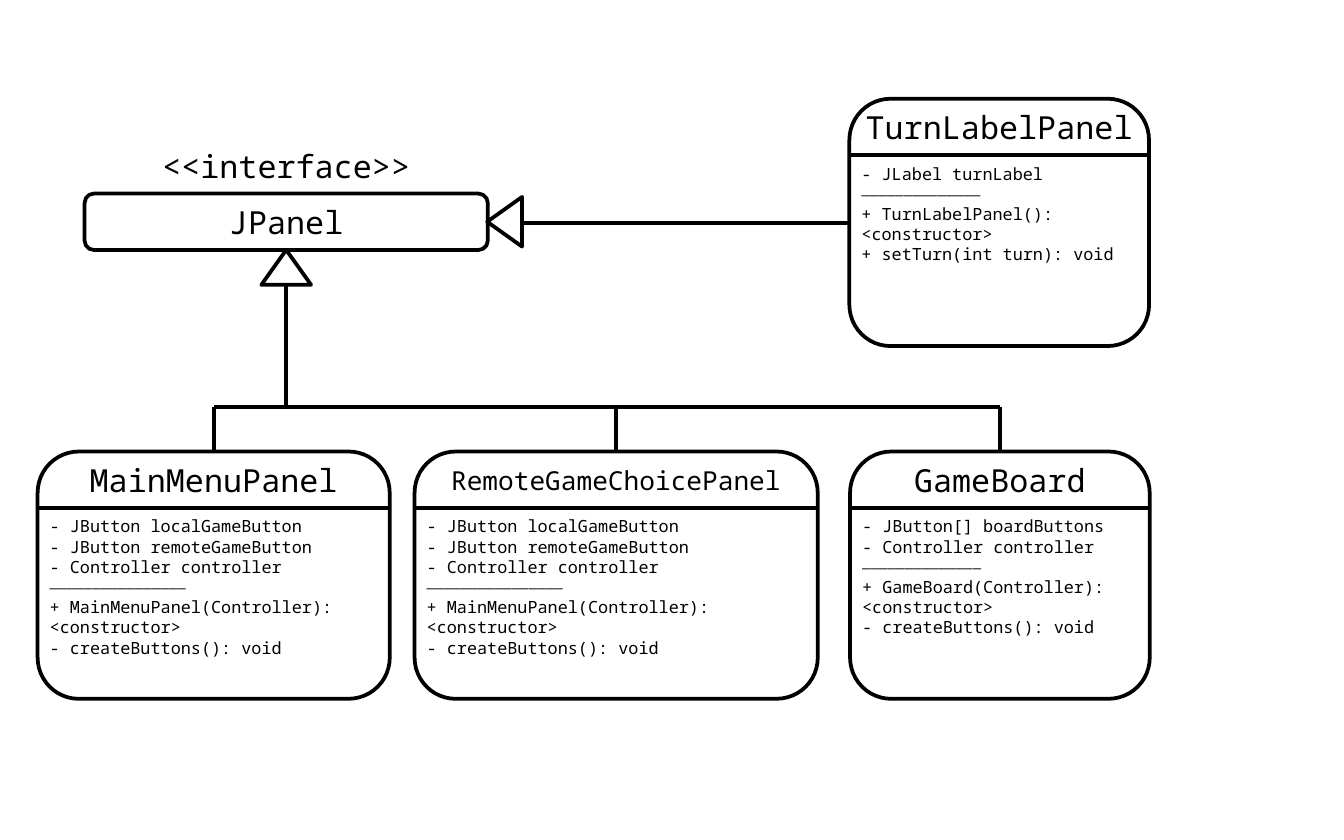
from pptx import Presentation
from pptx.dml.color import RGBColor
from pptx.enum.shapes import MSO_CONNECTOR, MSO_SHAPE
from pptx.enum.text import MSO_ANCHOR, PP_ALIGN
from pptx.oxml.ns import qn
from pptx.util import Inches, Pt
from lxml.etree import SubElement

COLUMNS, ROWS = 100, 62.5
HEADER, BOX_HEIGHT = 4.2, 18.4


def color(value):
    return RGBColor.from_string(value)


def write(frame, text, size=9, align=PP_ALIGN.LEFT, anchor=MSO_ANCHOR.TOP,
          font="Noto Sans Mono", ink="000000"):
    frame.word_wrap = True
    frame.vertical_anchor = anchor
    frame.margin_left = frame.margin_right = Inches(0.09)
    frame.margin_top = frame.margin_bottom = Inches(0.05)
    for index, line in enumerate(text):
        paragraph = frame.paragraphs[0] if index == 0 else frame.add_paragraph()
        paragraph.alignment = align
        run = paragraph.add_run()
        run.text = line
        run.font.name = font
        run.font.size = Pt(size)
        run.font.color.rgb = color(ink)


class Diagram:
    ink, paper, weight = "000000", "FFFFFF", 2

    def __init__(self, presentation):
        self.slide = presentation.slides.add_slide(presentation.slide_layouts[6])
        self.column = presentation.slide_width / COLUMNS
        self.row = presentation.slide_height / ROWS

    def place(self, left, top, width, height):
        return (round(left * self.column), round(top * self.row),
                round(width * self.column), round(height * self.row))

    def outline(self, item):
        item.line.color.rgb = color(self.ink)
        item.line.width = Pt(self.weight)

    def shape(self, kind, *area, fill=None, rotation=0):
        shape = self.slide.shapes.add_shape(kind, *self.place(*area))
        shape.shadow.inherit = False
        shape.rotation = rotation
        if fill:
            shape.fill.solid()
            shape.fill.fore_color.rgb = color(fill)
        else:
            shape.fill.background()
        self.outline(shape)

    def box(self, *area):
        self.shape(MSO_SHAPE.ROUNDED_RECTANGLE, *area, fill=self.paper)

    def arrowhead(self, left, top, rotation=0):
        self.shape(MSO_SHAPE.ISOSCELES_TRIANGLE, left, top, 3.7, 2.6, rotation=rotation)

    def line(self, *ends):
        connector = self.slide.shapes.add_connector(MSO_CONNECTOR.STRAIGHT, *self.place(*ends))
        self.outline(connector)
        SubElement(connector._element.spPr, qn("a:effectLst"))

    def text(self, lines, *area, **style):
        textbox = self.slide.shapes.add_textbox(*self.place(*area))
        write(textbox.text_frame, lines, **style)

    def title(self, name, *area, size=17):
        self.text([name], *area, size=size, align=PP_ALIGN.CENTER, anchor=MSO_ANCHOR.MIDDLE)

    def class_box(self, name, fields, methods, left, top, width, size=17, dashes=14):
        divider = top + HEADER
        self.box(left, top, width, BOX_HEIGHT)
        self.line(left, divider, left + width, divider)
        self.title(name, left, top, width, HEADER, size=size)
        self.text(fields + ["\u23af" * dashes] + methods,
                  left, divider + 0.1, width, BOX_HEIGHT - HEADER - 0.1)


presentation = Presentation()
presentation.slide_width = Inches(10)
presentation.slide_height = Inches(6.25)
diagram = Diagram(presentation)

menu_fields = ["- JButton localGameButton", "- JButton remoteGameButton", "- Controller controller"]
create_buttons = "- createButtons(): void"
menu_methods = ["+ MainMenuPanel(Controller): \t<constructor>", create_buttons]
board_fields = ["- JButton[] boardButtons", "- Controller controller"]
board_methods = ["+ GameBoard(Controller): \t<constructor>", create_buttons]
turn_methods = ["+ TurnLabelPanel(): \t<constructor>", "+ setTurn(int turn): void"]

child_top, branch_row = 33.6, 30.3
children = [
    ("MainMenuPanel", menu_fields, menu_methods, 2.8, 26.2, 17, 16),
    ("RemoteGameChoicePanel", menu_fields, menu_methods, 30.85, 30, 14, 16),
    ("GameBoard", board_fields, board_methods, 63.25, 22.3, 17, 14),
]
for name, fields, methods, left, width, size, dashes in children:
    center = left + width / 2
    diagram.class_box(name, fields, methods, left, child_top, width, size, dashes)
    diagram.line(center, branch_row, center, child_top)
diagram.line(15.9, branch_row, 74.4, branch_row)

diagram.class_box("TurnLabelPanel", ["- JLabel turnLabel"], turn_methods, 63.2, 7.35, 22.3)

panel_left, panel_top, panel_width = 6.3, 14.4, 30
panel_center = panel_left + panel_width / 2
panel_bottom = panel_top + HEADER
diagram.box(panel_left, panel_top, panel_width, HEADER)
diagram.title("JPanel", panel_left, panel_top, panel_width, HEADER)
diagram.title("<<interface>>", panel_left, panel_top - HEADER, panel_width, HEADER)

diagram.arrowhead(panel_center - 1.85, panel_bottom)
diagram.line(panel_center, panel_bottom + 2.5, panel_center, branch_row)
diagram.arrowhead(35.7, 15.2, rotation=270)
diagram.line(38.9, 16.6, 63.2, 16.6)

presentation.save("out.pptx")
